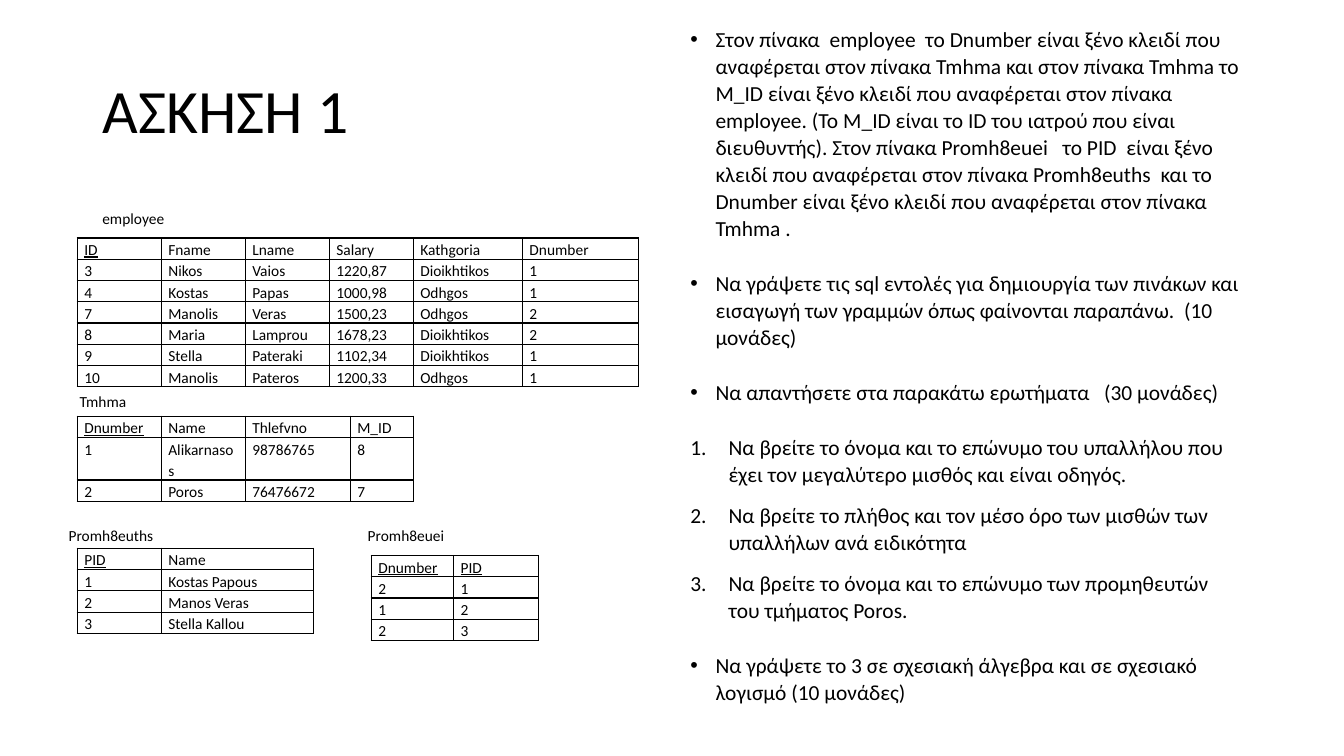
from lxml.etree import SubElement
from pptx import Presentation
from pptx.dml.color import RGBColor
from pptx.enum.text import MSO_ANCHOR as Anchor, MSO_AUTO_SIZE as AutoSize, PP_ALIGN as Align
from pptx.oxml import parse_xml
from pptx.oxml.ns import nsdecls, qn
from pptx.util import Inches, Pt

WIDTH, HEIGHT = Inches(13.33), Inches(7.5)
COL, ROW = WIDTH / 16, HEIGHT / 36
BLACK = "000000"

# name, (column, row), label (shift right, shift down, width), column widths, keys, rows
RELATIONS = [
    ("employee", (0.92, 11.33), (0.18, -1.73, 2.63), (1, 1, 1, 1, 1.3, 1.38), {"ID"}, [
        ("ID", "Fname", "Lname", "Salary", "Kathgoria", "Dnumber"),
        ("3", "Nikos", "Vaios", "1220,87", "Dioikhtikos", "1"),
        ("4", "Kostas", "Papas", "1000,98", "Odhgos", "1"),
        ("7", "Manolis", "Veras", "1500,23", "Odhgos", "2"),
        ("8", "Maria", "Lamprou", "1678,23", "Dioikhtikos", "2"),
        ("9", "Stella", "Pateraki", "1102,34", "Dioikhtikos", "1"),
        ("10", "Manolis", "Pateros", "1200,33", "Odhgos", "1")]),
    ("Tmhma", (0.92, 19.82), (-0.09, -1.53, 3.86), (1, 1, 1.25, 0.75), {"Dnumber"}, [
        ("Dnumber", "Name", "Thlefvno", "M_ID"),
        ("1", "Alikarnasos", "98786765", "8"),
        ("2", "Poros", "76476672", "7")]),
    ("Promh8euths", (0.92, 26.11), (-0.22, -1.44, 2.48), (1, 1.81), {"PID"}, [
        ("PID", "Name"), ("1", "Kostas Papous"), ("2", "Manos Veras"), ("3", "Stella Kallou")]),
    ("Promh8euei", (4.42, 26.45), (-0.16, -1.78, 2.48), (0.98, 1.01), {"Dnumber", "PID"}, [
        ("Dnumber", "PID"), ("2", "1"), ("1", "2"), ("2", "3")]),
]

# text, numbered, points after
TASKS = [
    ("Στον πίνακα  employee  το Dnumber είναι ξένο κλειδί που αναφέρεται στον πίνακα Tmhma "
     "και στον πίνακα Tmhma το M_ID είναι ξένο κλειδί που αναφέρεται στον πίνακα employee. "
     "(Το M_ID είναι το ID του ιατρού που είναι διευθυντής). Στον πίνακα Promh8euei   το PID  "
     "είναι ξένο κλειδί που αναφέρεται στον πίνακα Promh8euths  και το  Dnumber είναι ξένο "
     "κλειδί που αναφέρεται στον πίνακα Tmhma .", False, 10),
    ("Να γράψετε τις sql εντολές για δημιουργία των πινάκων και εισαγωγή των γραμμών όπως "
     "φαίνονται παραπάνω.  (10 μονάδες)", False, 10),
    ("Να απαντήσετε στα παρακάτω ερωτήματα   (30 μονάδες)", False, 10),
    ("Να βρείτε το όνομα και το επώνυμο του υπαλλήλου που έχει τον μεγαλύτερο μισθός και "
     "είναι οδηγός.", True, 0),
    ("Να βρείτε το πλήθος και τον μέσο όρο των μισθών των υπαλλήλων ανά ειδικότητα", True, 0),
    ("Να βρείτε το όνομα και το επώνυμο των προμηθευτών του τμήματος Poros.", True, 10),
    ("Να γράψετε το 3 σε σχεσιακή άλγεβρα και σε σχεσιακό λογισμό (10 μονάδες)", False, 10),
]


def color(hex_string):
    return RGBColor.from_string(hex_string)


def grid(column, row, columns, rows):
    return [round(length) for length in (column * COL, row * ROW, columns * COL, rows * ROW)]


def style(paragraph, size, line_spacing, before=0, after=0):
    paragraph.line_spacing = line_spacing
    paragraph.space_before, paragraph.space_after = Pt(before), Pt(after)
    font = paragraph.font
    font.name, font.size, font.color.rgb = "Calibri", Pt(size), color(BLACK)


def mark(paragraph, numbered):
    """Hang the paragraph from a bullet or a number."""
    properties = paragraph._p.get_or_add_pPr()
    indent = Inches(0.38 if numbered else 0.25)
    properties.set("marL", str(indent))
    properties.set("indent", str(-indent))
    SubElement(properties, qn("a:buFont"), typeface="+mj-lt" if numbered else "Arial")
    if numbered:
        SubElement(properties, qn("a:buAutoNum"), type="arabicPeriod")
    else:
        SubElement(properties, qn("a:buChar"), char="•")


def outline(cell):
    properties = cell._tc.get_or_add_tcPr()
    for index, side in enumerate("LRTB"):
        properties.insert(index, parse_xml(
            f'<a:ln{side} {nsdecls("a")} w="{Pt(1)}"><a:solidFill>'
            f'<a:srgbClr val="{BLACK}"/></a:solidFill></a:ln{side}>'))


def add_title(slide, box):
    title = slide.shapes.title
    title.left, title.top, title.width, title.height = grid(*box)
    frame = title.text_frame
    frame.text = "ΑΣΚΗΣΗ 1"
    frame.vertical_anchor, frame.auto_size = Anchor.MIDDLE, AutoSize.NONE
    frame.paragraphs[0].alignment = Align.LEFT
    style(frame.paragraphs[0], 44, 0.9)


def add_tasks(slide, box):
    frame = slide.shapes.add_textbox(*grid(*box)).text_frame
    frame.word_wrap = True
    for index, (text, numbered, after) in enumerate(TASKS):
        task = frame.add_paragraph() if index else frame.paragraphs[0]
        task.text = text
        mark(task, numbered)
        style(task, 15.3, 1.05, 10, after)


def add_relation(slide, name, corner, label, widths, keys, rows):
    """Draw a table with its name above it and its key columns underlined."""
    column, row = corner
    right, down, label_width = label
    caption = slide.shapes.add_textbox(
        *grid(column + right, row + down, label_width, 1.44)).text_frame
    caption.word_wrap = True
    caption.text = name
    style(caption.paragraphs[0], 11, 1.15, after=10)

    table = slide.shapes.add_table(
        len(rows), len(widths), *grid(column, row, sum(widths), 0.95 * len(rows))).table
    table.first_row = table.horz_banding = False
    for table_column, width in zip(table.columns, widths):
        table_column.width = round(width * COL)
    for row_index, values in enumerate(rows):
        for column_index, value in enumerate(values):
            cell = table.cell(row_index, column_index)
            cell.text = value
            cell.margin_left = cell.margin_right = Inches(0.07)
            cell.margin_top = cell.margin_bottom = 0
            cell.fill.background()
            outline(cell)
            entry = cell.text_frame.paragraphs[0]
            style(entry, 11, 1.15, after=10)
            if row_index == 0 and value in keys:
                entry.font.underline = True


def main():
    deck = Presentation()
    deck.slide_width, deck.slide_height = WIDTH, HEIGHT
    slide = deck.slides.add_slide(deck.slide_layouts[5])
    add_title(slide, (1.1, 1.92, 6.29, 6.96))
    add_tasks(slide, (8.1, 0.96, 6.8, 33.46))
    for relation in RELATIONS:
        add_relation(slide, *relation)
    deck.save("out.pptx")


if __name__ == "__main__":
    main()
